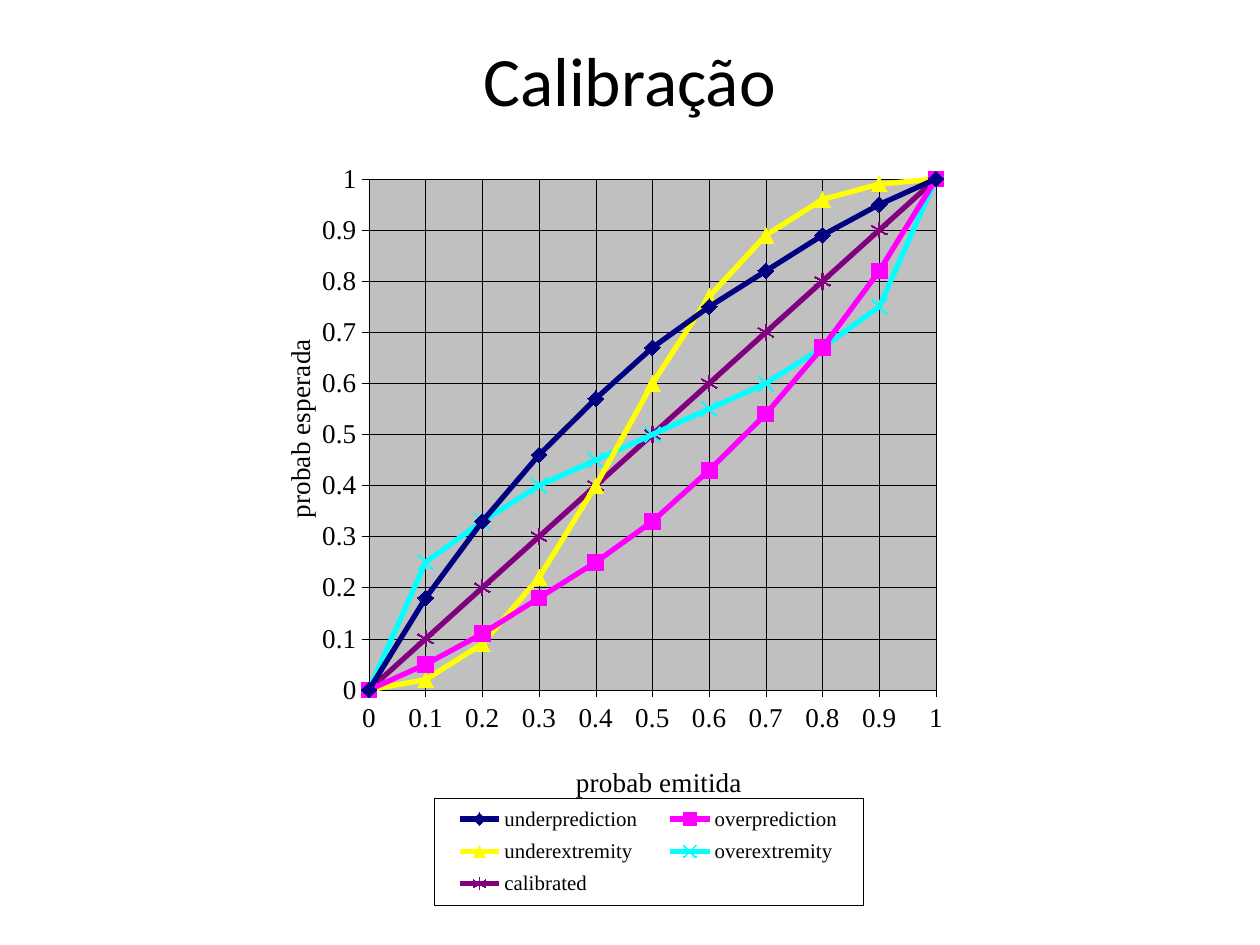
from pptx import Presentation
from pptx.chart.data import XyChartData
from pptx.dml.color import RGBColor
from pptx.enum.chart import XL_CHART_TYPE, XL_LEGEND_POSITION, XL_MARKER_STYLE, XL_TICK_MARK
from pptx.enum.text import MSO_ANCHOR, PP_ALIGN
from pptx.oxml import parse_xml
from pptx.oxml.ns import nsdecls, qn
from pptx.util import Emu, Pt

SCATTER = XL_CHART_TYPE.XY_SCATTER_LINES
LEGEND_RIGHT = XL_LEGEND_POSITION.RIGHT
CROSS = XL_TICK_MARK.CROSS
DIAMOND, SQUARE = XL_MARKER_STYLE.DIAMOND, XL_MARKER_STYLE.SQUARE
TRIANGLE, X, STAR = XL_MARKER_STYLE.TRIANGLE, XL_MARKER_STYLE.X, XL_MARKER_STYLE.STAR
MIDDLE, CENTER = MSO_ANCHOR.MIDDLE, PP_ALIGN.CENTER

COLORS = {
    "text": "000000", "paper": "FFFFFF", "plot": "C0C0C0", "border": "808080",
    "underprediction": "000080", "overprediction": "FF00FF",
    "underextremity": "FFFF00", "overextremity": "00FFFF", "calibrated": "800080",
}
PROBS = [i / 10 for i in range(11)]
CURVES = [
    ("underprediction", DIAMOND, [0, .18, .33, .46, .57, .67, .75, .82, .89, .95, 1]),
    ("overprediction", SQUARE, [0, .05, .11, .18, .25, .33, .43, .54, .67, .82, 1]),
    ("underextremity", TRIANGLE, [0, .02, .09, .22, .4, .6, .77, .89, .96, .99, 1]),
    ("overextremity", X, [0, .25, .33, .4, .45, .5, .55, .6, .67, .75, 1]),
    ("calibrated", STAR, PROBS),
]


def px(n):
    """Turn pixels into EMU at 126 pixels to the inch."""
    return Emu(round(n * 914400 / 126))


def rgb(name):
    """Look up a named colour."""
    return RGBColor.from_string(COLORS[name])


def set_font(font, size, face="Times New Roman"):
    """Set a plain black font."""
    font.name, font.size, font.bold = face, Pt(size), False
    font.color.rgb = rgb("text")


def set_line(line, color, width):
    """Set a solid line."""
    line.color.rgb = rgb(color)
    line.width = Pt(width)


def place(element, box, at, inner=False):
    """Place a chart part at left, top, width, height in px within the chart box."""
    for old in element.findall(qn("c:layout")):
        element.remove(old)
    fractions = [at[0] / box[2], at[1] / box[3]] + [n / box[i + 2] for i, n in enumerate(at[2:])]
    target = '<c:layoutTarget val="inner"/>' if inner else ""
    modes = '<c:xMode val="edge"/><c:yMode val="edge"/>'
    sizes = "".join(f'<c:{k} val="{v:.4f}"/>' for k, v in zip("xywh", fractions))
    layout = parse_xml(f'<c:layout {nsdecls("c")}><c:manualLayout>{target}{modes}{sizes}'
                       "</c:manualLayout></c:layout>")
    overlay = element.find(qn("c:overlay"))
    if inner:
        element.insert(0, layout)
    elif overlay is not None:
        overlay.addprevious(layout)
    else:
        element.append(layout)


def panel(fill, line):
    """Make the fill and hairline border of a chart part."""
    return parse_xml(
        f'<c:spPr {nsdecls("c", "a")}><a:solidFill><a:srgbClr val="{COLORS[fill]}"/></a:solidFill>'
        f'<a:ln w="3175"><a:solidFill><a:srgbClr val="{COLORS[line]}"/></a:solidFill></a:ln></c:spPr>')


def add_title(slide, box, text):
    """Add the centred slide title."""
    tf = slide.shapes.add_textbox(*map(px, box)).text_frame
    tf.word_wrap, tf.vertical_anchor = True, MIDDLE
    p = tf.paragraphs[0]
    p.text, p.alignment = text, CENTER
    set_font(p.font, 39.6, "Calibri")


def style_axis(axis, title, box, at):
    """Style a probability axis and place its title."""
    axis.minimum_scale, axis.maximum_scale, axis.major_unit = 0, 1, 0.1
    axis.major_tick_mark = CROSS
    axis.has_major_gridlines = True
    set_line(axis.format.line, "text", 0.25)
    set_line(axis.major_gridlines.format.line, "text", 0.25)
    set_font(axis.tick_labels.font, 15.5)
    axis.tick_labels.number_format = "General"
    axis.tick_labels.number_format_is_linked = False
    tf = axis.axis_title.text_frame
    tf.text = title
    set_font(tf.paragraphs[0].font, 15.5)
    place(axis.axis_title._element, box, at)


def style_series(series, name, marker):
    """Give a curve its line and markers."""
    series.smooth = False
    set_line(series.format.line, name, 3)
    series.marker.style, series.marker.size = marker, 9
    form = series.marker.format
    if marker in (X, STAR):
        form.fill.background()
    else:
        form.fill.solid()
        form.fill.fore_color.rgb = rgb(name)
    set_line(form.line, name, 0.75)


def add_calibration_chart(slide, box):
    """Add the calibration curves with axes and legend."""
    data = XyChartData()
    for name, _, values in CURVES:
        series = data.add_series(name)
        for x, y in zip(PROBS, values):
            series.add_data_point(x, y)
    chart = slide.shapes.add_chart(SCATTER, *map(px, box), data).chart
    chart.has_title = False
    set_font(chart.font, 13)
    plot = chart.plots[0]
    plot.vary_by_categories = False
    for series, (name, marker, _) in zip(plot.series, CURVES):
        style_series(series, name, marker)
    style_axis(chart.category_axis, "probab emitida", box, (309, 623))
    style_axis(chart.value_axis, "probab esperada", box, (15, 198))
    chart.value_axis.axis_title.text_frame._txBody.bodyPr.set("rot", "-5400000")

    area = chart._chartSpace.chart.plotArea
    place(area, box, (107, 43, 567, 511), inner=True)
    area.append(panel("plot", "border"))

    chart.has_legend = True
    legend = chart.legend
    legend.position, legend.include_in_layout = LEGEND_RIGHT, False
    set_font(legend.font, 11.9)
    place(legend._element, box, (172, 662, 429, 107))
    legend._element.find(qn("c:overlay")).addnext(panel("paper", "text"))


def main():
    """Build the calibration slide."""
    prs = Presentation()
    prs.slide_width, prs.slide_height = px(1260), px(945)
    slide = prs.slides.add_slide(prs.slide_layouts[6])
    add_title(slide, (94, 32, 1071, 94), "Calibração")
    add_calibration_chart(slide, (262, 136, 1257, 781))
    prs.save("out.pptx")


if __name__ == "__main__":
    main()
